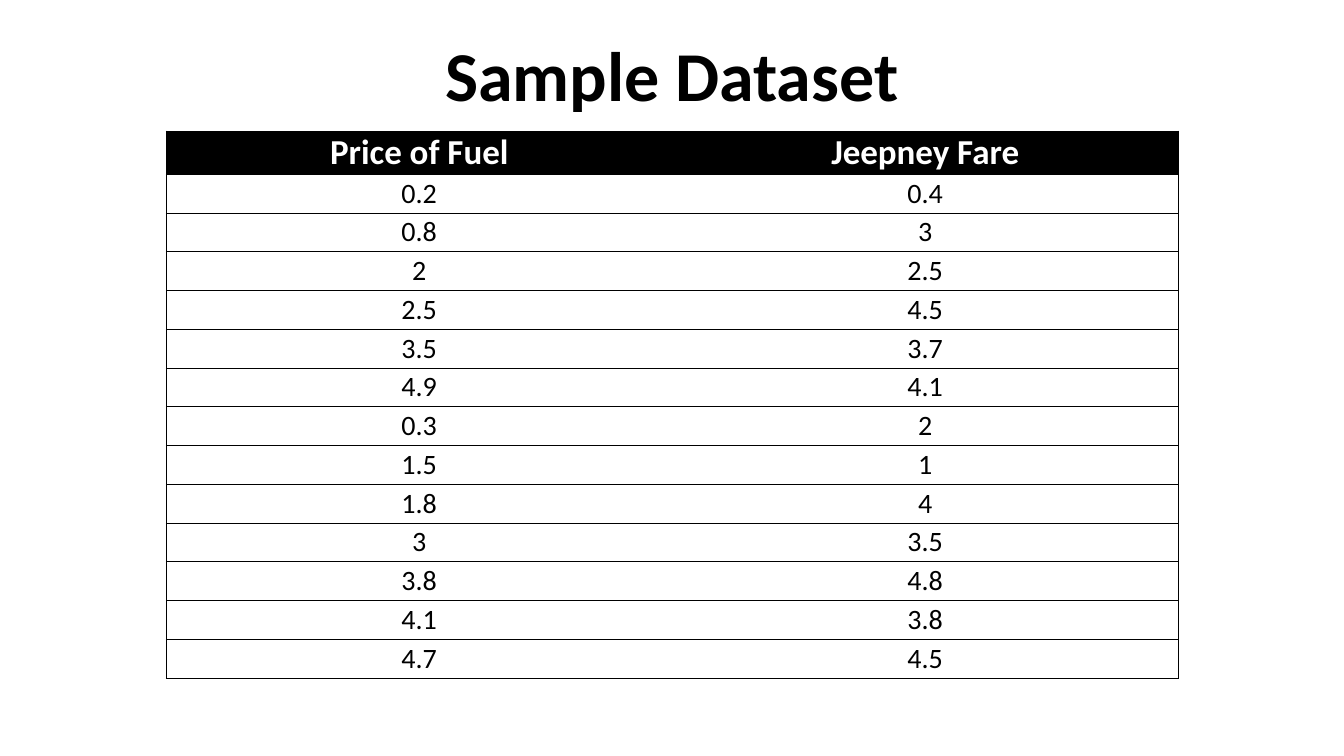
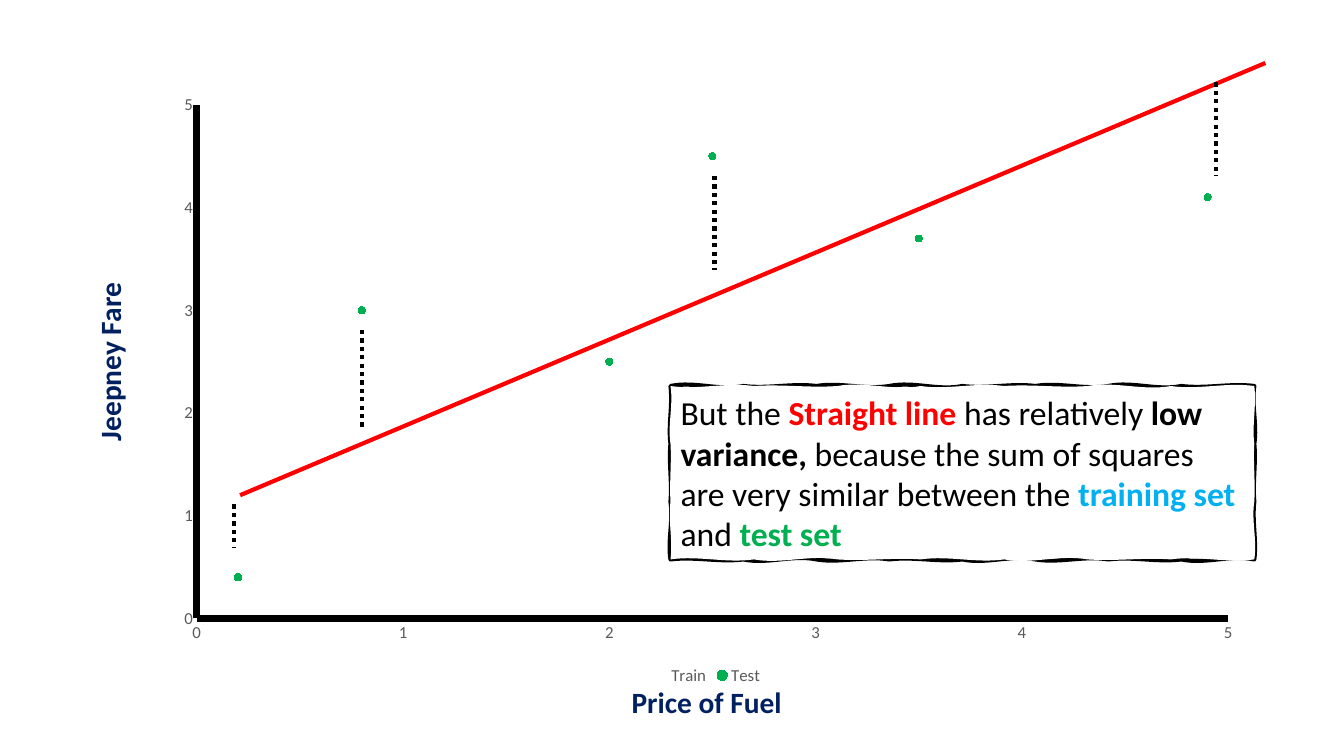
from copy import deepcopy
from dataclasses import dataclass
from lxml.etree import SubElement
from pptx import Presentation
from pptx.chart.data import XyChartData
from pptx.dml.color import RGBColor
from pptx.enum.chart import XL_CHART_TYPE, XL_LEGEND_POSITION, XL_MARKER_STYLE, XL_TICK_MARK
from pptx.enum.dml import MSO_LINE
from pptx.enum.shapes import MSO_CONNECTOR
from pptx.enum.text import MSO_ANCHOR, PP_ALIGN
from pptx.oxml.ns import qn
from pptx.util import Inches, Pt


@dataclass(frozen=True)
class Theme:
    font: str = "Calibri"
    black: str = "000000"
    white: str = "FFFFFF"
    gray: str = "595959"
    navy: str = "002060"
    red: str = "FF0000"
    green: str = "00B050"
    blue: str = "00B0F0"
    title: float = 50
    head: float = 25
    body: float = 20
    note: float = 24
    label: float = 21
    tick: float = 12
    hair: float = 0.5
    rule: float = 3
    axis: float = 5


T = Theme()
WIDE, HIGH = Inches(13.33), Inches(7.5)
PAGE = (0, 0, WIDE, HIGH)
FUEL, FARE = "Price of Fuel", "Jeepney Fare"
TEST = [(0.2, 0.4), (0.8, 3), (2, 2.5), (2.5, 4.5), (3.5, 3.7), (4.9, 4.1)]
TRAIN = [(0.3, 2), (1.5, 1), (1.8, 4), (3, 3.5), (3.8, 4.8), (4.1, 3.8), (4.7, 4.5)]
TOP = 5
TREND = ((0.21, 1.2), (5.18, 5.41))
GAPS = [(2.51, 4.31, 3.39), (0.8, 2.81, 1.84), (4.94, 5.22, 4.31), (0.18, 1.11, 0.69)]
NOTE = [
    ("But the ", T.black, False), ("Straight line", T.red, True),
    (" has relatively ", T.black, False), ("low variance, ", T.black, True),
    ("because the sum of squares are very similar between the ", T.black, False),
    ("training set ", T.blue, True), ("and ", T.black, False),
    ("test set", T.green, True),
]


def share(box, x, y, w, h):
    left, top, wide, high = box
    return (round(left + wide * x / 100), round(top + high * y / 100),
            round(wide * w / 100), round(high * h / 100))


def tint(code):
    return RGBColor.from_string(code)


def style(font, size, color, bold=False):
    font.name, font.size, font.bold = T.font, Pt(size), bold
    font.color.rgb = tint(color)


def stroke(line, color, width):
    line.color.rgb = tint(color)
    line.width = Pt(width)


def write(slide, box, text, size, color, wrap=True, turn=0):
    shape = slide.shapes.add_textbox(*box)
    shape.rotation = turn
    frame = shape.text_frame
    frame.word_wrap = wrap
    para = frame.paragraphs[0]
    para.text, para.alignment = text, PP_ALIGN.CENTER
    style(para.font, size, color, True)
    return frame


def add_title(slide, box, text):
    frame = write(slide, box, text, T.title, T.black)
    frame.vertical_anchor = MSO_ANCHOR.BOTTOM
    frame.paragraphs[0].line_spacing = 0.9


def edge(cell, sides):
    props = cell._tc.get_or_add_tcPr()
    for spot, side in enumerate(sides):
        line = props.makeelement(qn("a:ln" + side), {"w": str(Pt(T.hair))})
        fill = SubElement(line, qn("a:solidFill"))
        SubElement(fill, qn("a:srgbClr"), val=T.black)
        props.insert(spot, line)


def add_grid(slide, box, rows):
    table = slide.shapes.add_table(len(rows), 2, *box).table
    plain = "{2D5ABB26-0587-4C30-8999-92F81FD0307C}"
    table._tbl.tblPr.find(qn("a:tableStyleId")).text = plain
    table.horz_banding = False
    head = Inches(0.43)
    for r, row in enumerate(rows):
        table.rows[r].height = round((box[3] - head) / (len(rows) - 1)) if r else head
        for c, value in enumerate(row):
            cell = table.cell(r, c)
            cell.margin_left = cell.margin_right = Inches(0.05)
            cell.margin_top = cell.margin_bottom = 0
            cell.vertical_anchor = MSO_ANCHOR.MIDDLE
            cell.fill.solid()
            cell.fill.fore_color.rgb = tint(T.white if r else T.black)
            para = cell.text_frame.paragraphs[0]
            para.text, para.alignment = str(value), PP_ALIGN.CENTER
            if r:
                style(para.font, T.body, T.black)
            else:
                style(para.font, T.head, T.white, True)
            edge(cell, ("R" if c else "L", "T", "B"))


def add_plot(slide, box, inner):
    data = XyChartData()
    for name, dots in (("Train", TRAIN), ("Test", TEST)):
        series = data.add_series(name)
        for x, y in dots:
            series.add_data_point(x, y)
    chart = slide.shapes.add_chart(XL_CHART_TYPE.XY_SCATTER, *box, data).chart
    chart.has_title = False
    style(chart.font, T.tick, T.gray)
    chart.has_legend = True
    chart.legend.position = XL_LEGEND_POSITION.BOTTOM
    chart.legend.include_in_layout = False
    for axis in (chart.category_axis, chart.value_axis):
        axis.minimum_scale, axis.maximum_scale, axis.major_unit = 0, TOP, 1
        axis.has_major_gridlines = False
        axis.major_tick_mark = axis.minor_tick_mark = XL_TICK_MARK.NONE
        axis.tick_labels.number_format = "General"
        axis.tick_labels.number_format_is_linked = False
        stroke(axis.format.line, T.black, T.axis)
    for series, color in zip(chart.plots[0].series, (None, T.green)):
        series.format.line.fill.background()
        mark = series.marker
        mark.style, mark.size = XL_MARKER_STYLE.CIRCLE, 5
        mark.format.line.fill.background()
        if color:
            mark.format.fill.solid()
            mark.format.fill.fore_color.rgb = tint(color)
        else:
            mark.format.fill.background()
    area = chart._chartSpace.chart.plotArea
    for old in area.findall(qn("c:layout")):
        area.remove(old)
    frame = area.makeelement(qn("c:layout"), {})
    area.insert(0, frame)
    manual = SubElement(frame, qn("c:manualLayout"))
    pairs = [("layoutTarget", "inner"), ("xMode", "edge"), ("yMode", "edge")]
    pairs += [(key, str(part / 100)) for key, part in zip("xywh", inner)]
    for key, value in pairs:
        SubElement(manual, qn("c:" + key), val=value)


def add_line(slide, box, start, end, color, dash=None):
    left, top, wide, high = box
    ends = [round(v) for x, y in (start, end)
            for v in (left + wide * x / TOP, top + high * (1 - y / TOP))]
    line = slide.shapes.add_connector(MSO_CONNECTOR.STRAIGHT, *ends)
    stroke(line.line, color, T.rule)
    if dash:
        line.line.dash_style = dash
    SubElement(line._element.spPr, qn("a:effectLst"))


def ripple(box, counts, swing):
    left, top, wide, high = box
    right, base = left + wide, top + high
    turns = [(left, top), (right, top), (right, base), (left, base), (left, top)]
    sway = (Inches(0.03), Inches(0.05))
    dots = [turns[0]]
    for side, ((x, y), (u, v)) in enumerate(zip(turns, turns[1:])):
        flat = side % 2 == 0
        count = counts[side % 2]
        for k in range(count):
            bend = sway[flat] * swing[k % len(swing)]
            for third, push in ((1, -bend), (2, bend), (3, 0)):
                part = (k + third / 3) / count
                dots.append((x + (u - x) * part + push * (not flat),
                             y + (v - y) * part + push * flat))
    return dots


def curve(track):
    lines = track.findall(qn("a:lnTo"))
    for first in range(0, len(lines), 3):
        bend = track.makeelement(qn("a:cubicBezTo"), {})
        lines[first].addprevious(bend)
        for line in lines[first:first + 3]:
            bend.append(line[0])
            track.remove(line)


def sketch(slide, box):
    rim = ripple(box, (8, 3), (1, -0.6, 0.8))
    core = ripple(box, (7, 3), (-0.8, 0.4, 1))
    pen = slide.shapes.build_freeform(*rim[0])
    pen.add_line_segments(rim[1:], close=True)
    pen.move_to(*core[0])
    pen.add_line_segments(core[1:], close=True)
    shape = pen.convert_to_shape()
    outer = next(shape._element.iter(qn("a:path")))
    inner = deepcopy(outer)
    outer.addnext(inner)
    cut = 3 * 22 + 2
    for part in outer[cut:]:
        outer.remove(part)
    for part in inner[:cut]:
        inner.remove(part)
    outer.set("fill", "none")
    inner.set("stroke", "0")
    curve(outer)
    curve(inner)
    shape.shadow.inherit = False
    return shape


def add_note(slide, box, parts):
    card = sketch(slide, box)
    card.fill.solid()
    card.fill.fore_color.rgb = tint(T.white)
    stroke(card.line, T.black, T.rule)
    frame = card.text_frame
    frame.word_wrap = True
    frame.margin_left, frame.margin_right = Inches(0.13), Inches(0.16)
    frame.vertical_anchor = MSO_ANCHOR.MIDDLE
    para = frame.paragraphs[0]
    para.alignment = PP_ALIGN.LEFT
    for text, color, bold in parts:
        run = para.add_run()
        run.text = text
        style(run.font, T.note, color, bold)


def data_slide(slide, box):
    add_grid(slide, share(box, 12.37, 17.33, 75.3, 72.4), [(FUEL, FARE)] + TEST + TRAIN)
    add_title(slide, share(box, 3.75, 5.6, 92.5, 10.53), "Sample Dataset")


def fit_slide(slide, box):
    chart = share(box, 12.08, 10.93, 81.3, 80.27)
    inner = (3.15, 3.7, 94.4, 84.6)
    add_plot(slide, chart, inner)
    write(slide, share(box, 1.43, 44.9, 13.43, 6), FARE, T.label, T.navy, False, 270)
    write(slide, share(box, 46.2, 89.87, 12.75, 6), FUEL, T.label, T.navy, False)
    plot = share(chart, *inner)
    add_line(slide, plot, *TREND, T.red)
    for x, high, low in GAPS:
        add_line(slide, plot, (x, high), (x, low), T.black, MSO_LINE.ROUND_DOT)
    add_note(slide, share(box, 49.89, 51.07, 43.44, 22.93), NOTE)


def main():
    deck = Presentation()
    deck.slide_width, deck.slide_height = WIDE, HIGH
    for build in (data_slide, fit_slide):
        build(deck.slides.add_slide(deck.slide_layouts[6]), PAGE)
    deck.save("out.pptx")


if __name__ == "__main__":
    main()
